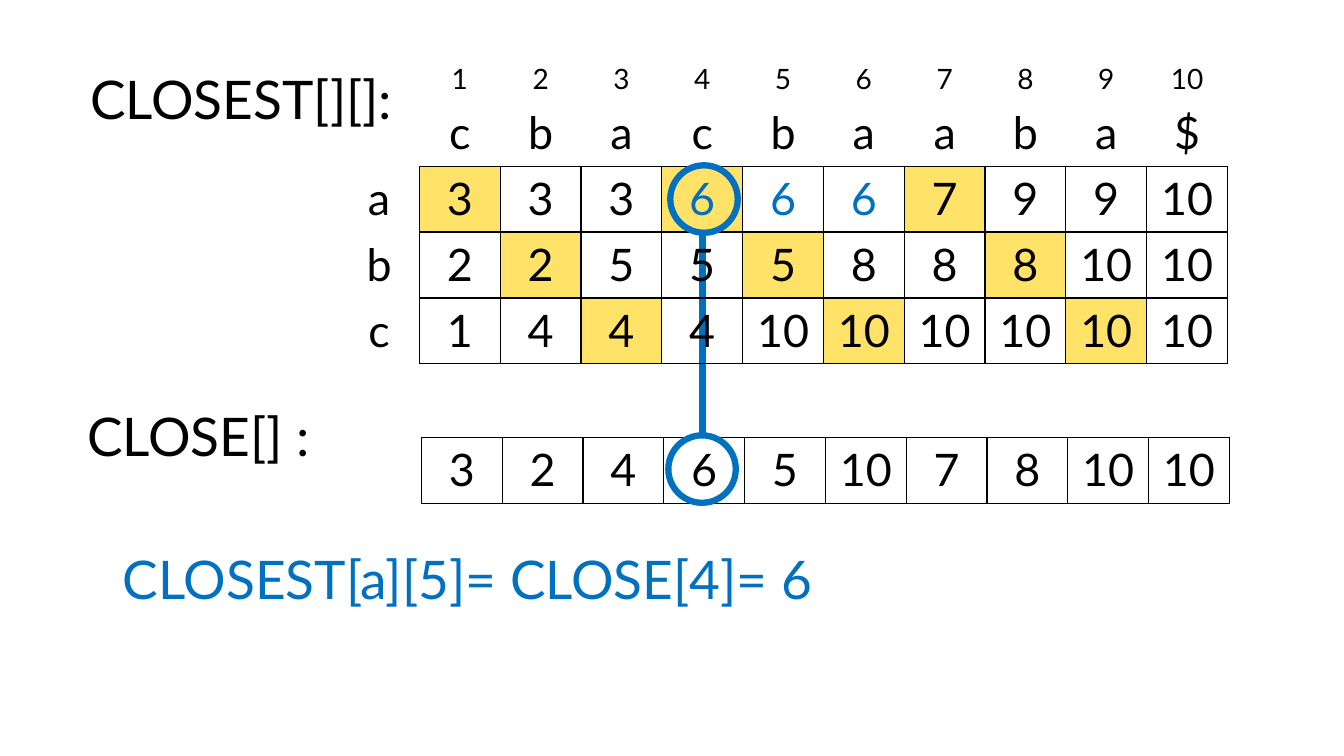
from pptx import Presentation
from pptx.dml.color import RGBColor
from pptx.enum.shapes import MSO_CONNECTOR, MSO_SHAPE
from pptx.enum.text import MSO_ANCHOR, MSO_AUTO_SIZE, PP_ALIGN
from pptx.oxml.ns import qn
from pptx.util import Pt
from lxml import etree

STRAIGHT = MSO_CONNECTOR.STRAIGHT
ELLIPSE = MSO_SHAPE.OVAL
TOP, BOTTOM = MSO_ANCHOR.TOP, MSO_ANCHOR.BOTTOM
CENTER = PP_ALIGN.CENTER
FIT_SHAPE = MSO_AUTO_SIZE.SHAPE_TO_FIT_TEXT

COLORS = {"black": "000000", "white": "FFFFFF", "blue": "0070C0", "yellow": "FFE267"}
FONT = "Lato"
COLUMN_WIDTH = 57.74
ROW_HEIGHT = 47.1
CIRCLE_SIZE = 48.2
LINE_WIDTH = 4.5

POSITIONS = [str(number) for number in range(1, 11)]
SEQUENCE = "c b a c b a a b a $".split()
CLOSEST = {
    "a": "3 3 3 6 6 6 7 9 9 10".split(),
    "b": "2 2 5 5 5 8 8 8 10 10".split(),
    "c": "1 4 4 4 10 10 10 10 10 10".split(),
}
CLOSE = "3 2 4 6 5 10 7 8 10 10".split()


def rgb(name):
    return RGBColor.from_string(COLORS[name])


def write_text(frame, text, size=32, color="black"):
    paragraph = frame.paragraphs[0]
    paragraph.alignment = CENTER
    run = paragraph.add_run()
    run.text = text
    run.font.name = FONT
    run.font.size = Pt(size)
    run.font.color.rgb = rgb(color)


def set_borders(cell, **sides):
    properties = cell._tc.get_or_add_tcPr()
    for side in "LRTB":
        line = etree.SubElement(properties, qn(f"a:ln{side}"), w=str(Pt(1)))
        fill = etree.SubElement(line, qn("a:solidFill"))
        etree.SubElement(fill, qn("a:srgbClr"), val=COLORS[sides.get(side, "black")])


class SlideBuilder:
    def __init__(self, slide):
        self.slide = slide

    def label(self, text, left, top, width, color="black"):
        shape = self.slide.shapes.add_textbox(Pt(left), Pt(top), Pt(width), Pt(53.3))
        shape.text_frame.word_wrap = False
        shape.text_frame.auto_size = FIT_SHAPE
        write_text(shape.text_frame, text, size=38, color=color)

    def line(self, x, top, bottom):
        connector = self.slide.shapes.add_connector(STRAIGHT, Pt(x), Pt(top), Pt(x), Pt(bottom))
        connector.line.color.rgb = rgb("blue")
        connector.line.width = Pt(LINE_WIDTH)
        etree.SubElement(connector._element.spPr, qn("a:effectLst"))

    def circle(self, left, top):
        shape = self.slide.shapes.add_shape(
            ELLIPSE, Pt(left), Pt(top), Pt(CIRCLE_SIZE), Pt(CIRCLE_SIZE))
        shape.shadow.inherit = False
        shape.fill.background()
        shape.line.color.rgb = rgb("blue")
        shape.line.width = Pt(LINE_WIDTH)

    def table(self, rows, left, top, cell_style):
        row_count, column_count = len(rows), len(rows[0])
        table = self.slide.shapes.add_table(
            row_count, column_count, Pt(left), Pt(top),
            Pt(column_count * COLUMN_WIDTH), Pt(row_count * ROW_HEIGHT)).table
        table.first_row = table.horz_banding = False
        for column in table.columns:
            column.width = Pt(COLUMN_WIDTH)
        for row_index, values in enumerate(rows):
            table.rows[row_index].height = Pt(ROW_HEIGHT)
            for column_index, text in enumerate(values):
                cell = table.cell(row_index, column_index)
                style = cell_style(row_index, column_index)
                set_borders(cell, **style.get("borders", {}))
                cell.vertical_anchor = style.get("anchor", TOP)
                if "fill" in style:
                    cell.fill.solid()
                    cell.fill.fore_color.rgb = rgb(style["fill"])
                else:
                    cell.fill.background()
                if text:
                    write_text(cell.text_frame, text, **style.get("font", {}))


def closest_style(row, column):
    borders = dict.fromkeys("LRTB", "white")
    if row == 0:
        return {"borders": borders, "anchor": BOTTOM, "font": {"size": 20}}
    if row == 1:
        if column > 0:
            borders["B"] = "black"
        return {"borders": borders}
    if column == 0:
        borders["R"] = "black"
        return {"borders": borders}
    style = {}
    if SEQUENCE[column - 1] != "$" and (column - row + 1) % 3 == 0:
        style["fill"] = "yellow"
    if row == 2 and 4 <= column <= 6:
        style["font"] = {"color": "blue"}
    return style


def main():
    presentation = Presentation()
    presentation.slide_width, presentation.slide_height = Pt(960), Pt(540)
    slide = presentation.slides.add_slide(presentation.slide_layouts[6])
    builder = SlideBuilder(slide)

    closest_rows = [["", *POSITIONS], ["", *SEQUENCE]]
    closest_rows += [[letter, *values] for letter, values in CLOSEST.items()]

    builder.line(501.8, 166.3, 311)
    builder.table(closest_rows, 241.9, 24.5, closest_style)
    builder.label("CLOSEST[][]:", 51.1, 43.9, 242.6)
    builder.table([CLOSE], 301, 312.3, lambda row, column: {})
    builder.label("CLOSE[] :", 51.1, 284.4, 181.4)
    builder.label("CLOSEST[a][5]= CLOSE[4]= 6", 67.7, 386.6, 532.8, color="blue")
    builder.circle(477.4, 311)
    builder.circle(478.8, 118.1)

    presentation.save("out.pptx")


if __name__ == "__main__":
    main()
